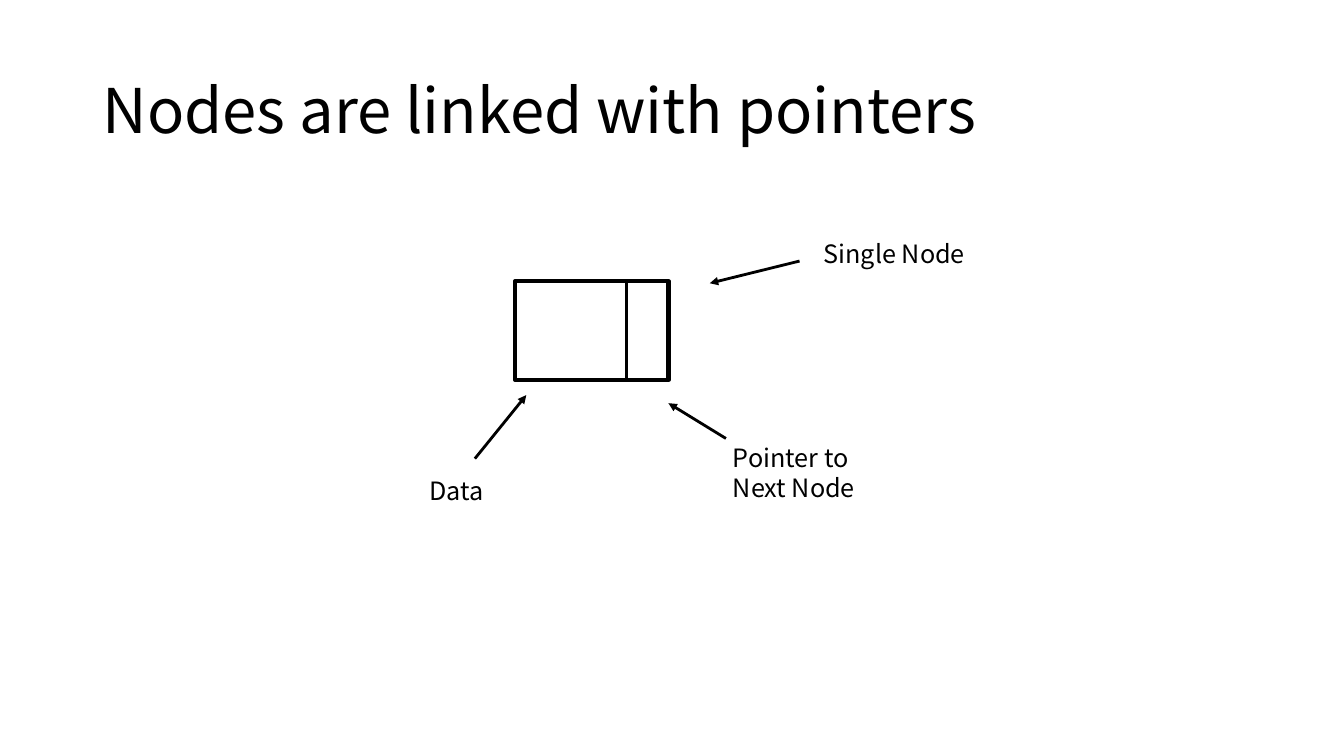
from dataclasses import dataclass

from lxml import etree
from pptx import Presentation
from pptx import util as u
from pptx.dml.color import RGBColor
from pptx.enum import shapes, text
from pptx.oxml.ns import qn
from pptx.slide import Slide

EMU_PER_PX = 9144


@dataclass(frozen=True)
class Theme:
    font: str = "Noto Sans CJK KR"
    ink: RGBColor = RGBColor(0, 0, 0)
    title_size: int = 44
    label_size: int = 18
    outline_width: int = 3
    line_width: int = 2


@dataclass(frozen=True)
class Label:
    wording: str
    left: int
    top: int
    width: int
    height: int
    size: int
    anchor: text.MSO_ANCHOR = text.MSO_ANCHOR.TOP
    line_spacing: float = 1.0


@dataclass(frozen=True)
class Line:
    start: tuple[int, int]
    end: tuple[int, int]
    arrow: bool = True


@dataclass(frozen=True)
class Node:
    left: int
    top: int
    width: int
    height: int
    data_width: int


THEME = Theme()
LABEL_WIDTH = 191
NODE = Node(511, 279, 152, 98, data_width=110)
TITLE = Label("Nodes are linked with pointers", 92, 40, 1150, 145,
              THEME.title_size, text.MSO_ANCHOR.MIDDLE, 0.9)
LABELS = [
    Label("Single Node", 807, 232, LABEL_WIDTH, 40, THEME.label_size),
    Label("Pointer to Next Node", 717, 434, LABEL_WIDTH, 71, THEME.label_size),
    Label("Data", 416, 467, LABEL_WIDTH, 40, THEME.label_size),
]
ARROWS = [
    Line((793, 259), (704, 281)),
    Line((471, 455), (522, 392)),
    Line((720, 435), (663, 400)),
]


def px(length: int) -> u.Emu:
    return u.Emu(length * EMU_PER_PX)


def draw_label(slide: Slide, label: Label) -> None:
    shape = slide.shapes.add_textbox(
        px(label.left), px(label.top), px(label.width), px(label.height))
    frame = shape.text_frame
    frame.text = label.wording
    frame.word_wrap = True
    frame.vertical_anchor = label.anchor
    paragraph = frame.paragraphs[0]
    paragraph.line_spacing = label.line_spacing
    font = paragraph.runs[0].font
    font.name = THEME.font
    font.size = u.Pt(label.size)
    font.color.rgb = THEME.ink


def draw_line(slide: Slide, line: Line) -> None:
    connector = slide.shapes.add_connector(
        shapes.MSO_CONNECTOR.STRAIGHT, *map(px, line.start + line.end))
    connector.line.color.rgb = THEME.ink
    connector.line.width = u.Pt(THEME.line_width)
    properties = connector.element.spPr
    if line.arrow:
        outline = properties.find(qn("a:ln"))
        etree.SubElement(outline, qn("a:tailEnd"), type="triangle")
    etree.SubElement(properties, qn("a:effectLst"))


def draw_node(slide: Slide, node: Node) -> None:
    shape = slide.shapes.add_shape(
        shapes.MSO_SHAPE.RECTANGLE,
        px(node.left), px(node.top), px(node.width), px(node.height))
    shape.shadow.inherit = False
    shape.fill.background()
    shape.line.color.rgb = THEME.ink
    shape.line.width = u.Pt(THEME.outline_width)
    divider = node.left + node.data_width
    draw_line(slide, Line((divider, node.top),
                          (divider, node.top + node.height), arrow=False))


def main() -> None:
    presentation = Presentation()
    presentation.slide_width = px(1333)
    presentation.slide_height = px(750)
    slide = presentation.slides.add_slide(presentation.slide_layouts[6])
    draw_label(slide, TITLE)
    draw_node(slide, NODE)
    for arrow in ARROWS:
        draw_line(slide, arrow)
    for label in LABELS:
        draw_label(slide, label)
    presentation.save("out.pptx")


if __name__ == "__main__":
    main()
